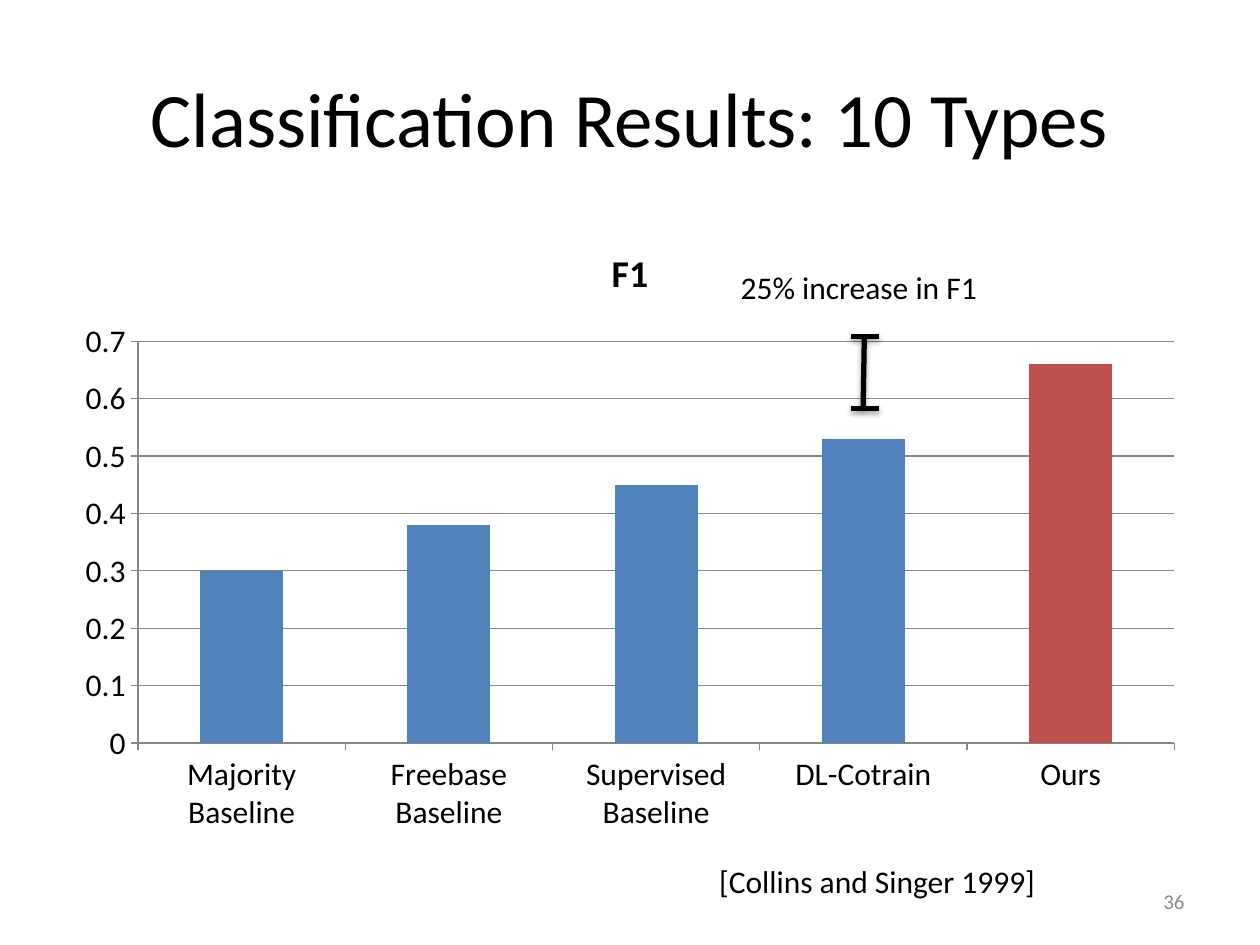
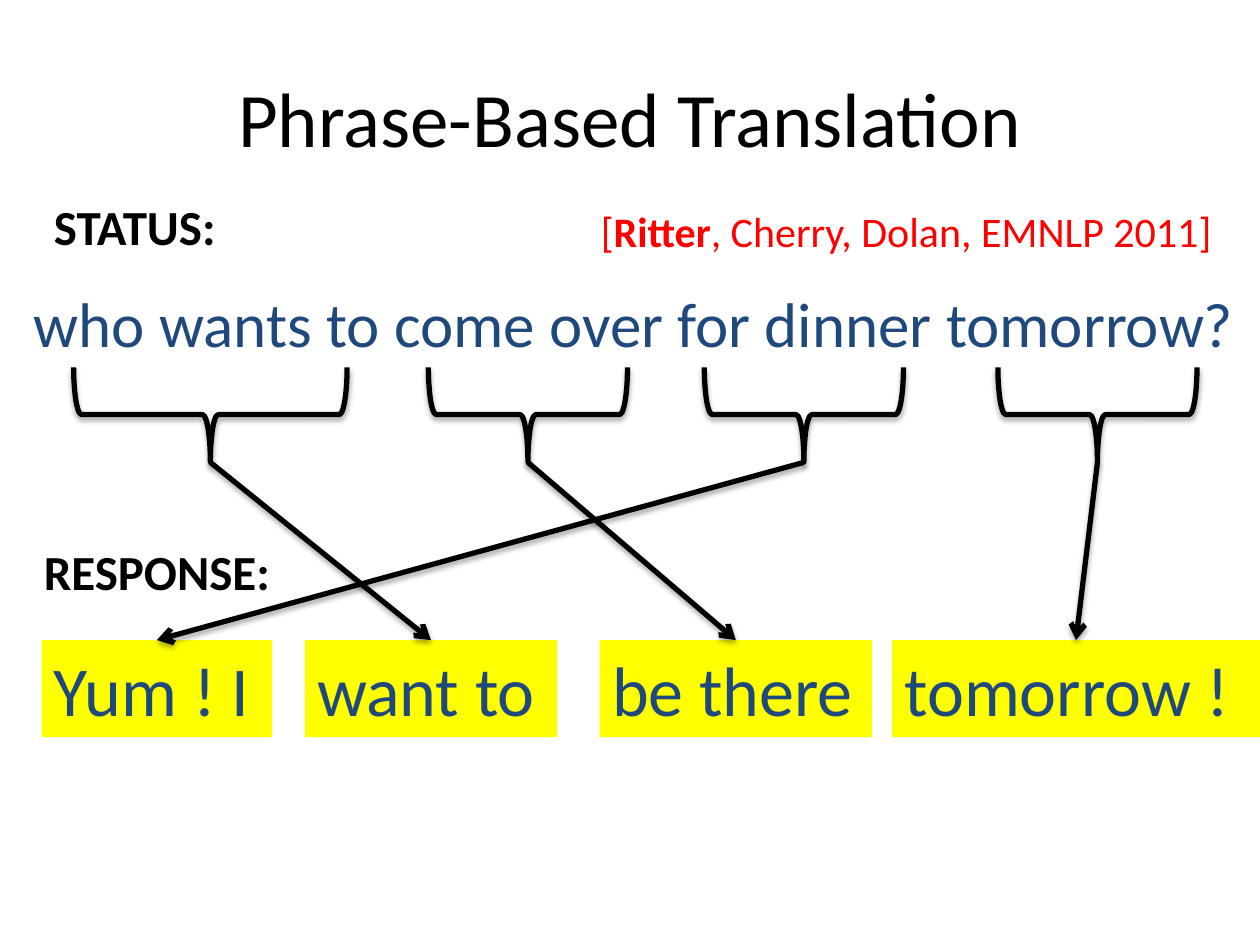
from dataclasses import dataclass

from lxml.etree import SubElement
from pptx import Presentation
from pptx.chart.data import CategoryChartData
from pptx.dml.color import RGBColor
from pptx.enum.chart import XL_CHART_TYPE, XL_TICK_MARK
from pptx.enum.shapes import MSO_CONNECTOR, MSO_SHAPE
from pptx.enum.text import MSO_ANCHOR, PP_ALIGN
from pptx.oxml.ns import qn
from pptx.util import Inches, Pt

FONT = "Calibri"
COLORS = {
    "text": "000000",
    "page": "8C8C8C",
    "phrase": "1F497D",
    "highlight": "FFFF00",
    "citation": "FF0000",
    "bar": "4F81BD",
    "ours": "C0504D",
    "axis": "868686",
}
F1_SCORES = {
    "Majority Baseline": 0.3,
    "Freebase Baseline": 0.38,
    "Supervised Baseline": 0.45,
    "DL-Cotrain": 0.53,
    "Ours": 0.66,
}
BRACE_CENTER_Y = 3.29
BRACE_DEPTH = 0.75
BRACE_TIP_Y = 3.67
RESPONSE_TOP = 5.08
RESPONSE_HEIGHT = 0.77


@dataclass(frozen=True)
class Label:
    text: str
    left: float
    top: float
    width: float
    height: float
    size: float = 18
    color: str = "text"
    bold: bool = False
    align: PP_ALIGN = PP_ALIGN.LEFT
    anchor: MSO_ANCHOR = MSO_ANCHOR.TOP
    wrap: bool = False
    fill: str | None = None


@dataclass(frozen=True)
class PhrasePair:
    response: str
    left: float
    width: float
    brace_center: float
    brace_span: float


PHRASE_PAIRS = [
    PhrasePair("Yum ! I", 0.33, 1.83, 6.38, 1.58),
    PhrasePair("want to", 2.42, 2, 1.67, 2.17),
    PhrasePair("be there", 4.76, 2.16, 4.19, 1.58),
    PhrasePair("tomorrow !", 7.08, 2.92, 8.71, 1.58),
]


def rgb(name: str) -> RGBColor:
    return RGBColor.from_string(COLORS[name])


def style_font(font, size: float, color: str = "text") -> None:
    font.name = FONT
    font.size = Pt(size)
    font.color.rgb = rgb(color)


def add_label(slide, label: Label):
    box = slide.shapes.add_textbox(
        Inches(label.left), Inches(label.top), Inches(label.width), Inches(label.height)
    )
    if label.fill:
        box.fill.solid()
        box.fill.fore_color.rgb = rgb(label.fill)
    frame = box.text_frame
    frame.word_wrap = label.wrap
    frame.vertical_anchor = label.anchor
    paragraph = frame.paragraphs[0]
    paragraph.alignment = label.align
    if label.text:
        paragraph.text = label.text
    style_font(paragraph.font, label.size, label.color)
    if label.bold:
        paragraph.font.bold = True
    return box


def add_titled_slide(deck, title: str):
    slide = deck.slides.add_slide(deck.slide_layouts[6])
    add_label(slide, Label(title, 0.5, 0.3, 9, 1.25, size=44, align=PP_ALIGN.CENTER,
                           anchor=MSO_ANCHOR.MIDDLE, wrap=True))
    return slide


def style_stroke(shape) -> None:
    shape.line.color.rgb = rgb("text")
    shape.line.width = Pt(3)
    properties = shape._element.spPr
    for effects in properties.findall(qn("a:effectLst")):
        properties.remove(effects)
    effects = SubElement(properties, qn("a:effectLst"))
    shadow = SubElement(effects, qn("a:outerShdw"), blurRad="40000", dist="23000",
                        dir="5400000", rotWithShape="0")
    shade = SubElement(shadow, qn("a:srgbClr"), val=COLORS["text"])
    SubElement(shade, qn("a:alpha"), val="35000")


def add_stroke(slide, x1: float, y1: float, x2: float, y2: float):
    stroke = slide.shapes.add_connector(
        MSO_CONNECTOR.STRAIGHT, Inches(x1), Inches(y1), Inches(x2), Inches(y2)
    )
    style_stroke(stroke)
    return stroke


def add_f1_chart(slide) -> None:
    scores = CategoryChartData()
    scores.categories = list(F1_SCORES)
    scores.add_series("F1", list(F1_SCORES.values()))
    chart = slide.shapes.add_chart(
        XL_CHART_TYPE.COLUMN_CLUSTERED,
        Inches(0.5), Inches(1.75), Inches(9), Inches(4.95), scores,
    ).chart
    style_font(chart.font, 18)
    chart.has_legend = False
    chart.has_title = True
    heading = chart.chart_title.text_frame
    heading.text = "F1"
    style_font(heading.paragraphs[0].font, 21.6)
    heading.paragraphs[0].font.bold = True
    chart.chart_title.include_in_layout = False

    plot = chart.plots[0]
    plot.gap_width = 150
    plot.vary_by_categories = False
    bars = plot.series[0]
    ours = bars.points[len(F1_SCORES) - 1]
    for part, color in ((bars, "bar"), (ours, "ours")):
        part.format.fill.solid()
        part.format.fill.fore_color.rgb = rgb(color)

    score_axis = chart.value_axis
    score_axis.minimum_scale = 0
    score_axis.maximum_scale = 0.7
    score_axis.major_unit = 0.1
    score_axis.has_major_gridlines = True
    for axis in (chart.category_axis, score_axis):
        axis.major_tick_mark = XL_TICK_MARK.OUTSIDE
    for rule in (chart.category_axis, score_axis, score_axis.major_gridlines):
        rule.format.line.color.rgb = rgb("axis")
        rule.format.line.width = Pt(0.75)


def build_results(deck) -> None:
    slide = add_titled_slide(deck, "Classification Results: 10 Types")
    add_f1_chart(slide)
    add_label(slide, Label("36", 7.17, 6.95, 2.33, 0.4, size=12, color="page",
                           align=PP_ALIGN.RIGHT, anchor=MSO_ANCHOR.MIDDLE, wrap=True))
    add_label(slide, Label("[Collins and Singer 1999]", 5.61, 6.79, 2.74, 0.4))
    add_label(slide, Label("25% increase in F1", 5.78, 2.08, 2.1, 0.4))
    gain_top, gain_bottom = 2.67, 3.24
    add_stroke(slide, 6.86, gain_top, 6.85, gain_bottom)
    for cap_y in (gain_top, gain_bottom):
        add_stroke(slide, 6.75, cap_y, 6.98, cap_y)


def add_phrase_pair(slide, pair: PhrasePair) -> None:
    response = add_label(slide, Label(
        pair.response, pair.left, RESPONSE_TOP, pair.width, RESPONSE_HEIGHT,
        size=40, color="phrase", wrap=True, fill="highlight",
    ))
    brace = slide.shapes.add_shape(
        MSO_SHAPE.LEFT_BRACE,
        Inches(pair.brace_center - BRACE_DEPTH / 2),
        Inches(BRACE_CENTER_Y - pair.brace_span / 2),
        Inches(BRACE_DEPTH), Inches(pair.brace_span),
    )
    brace.rotation = 270
    brace.fill.background()
    style_stroke(brace)
    arrow = add_stroke(slide, pair.brace_center, BRACE_TIP_Y,
                       pair.left + pair.width / 2, RESPONSE_TOP)
    arrow.end_connect(response, 0)
    SubElement(arrow.line._get_or_add_ln(), qn("a:tailEnd"), type="arrow")


def build_translation(deck) -> None:
    slide = add_titled_slide(deck, "Phrase-Based Translation")
    add_label(slide, Label("who wants to come over for dinner tomorrow?",
                           0.17, 2.21, 9.75, 0.71, size=36, color="phrase", wrap=True))
    for pair in PHRASE_PAIRS:
        add_phrase_pair(slide, pair)
    add_label(slide, Label("STATUS:", 0.33, 1.51, 1.5, 0.57, size=28, bold=True))
    add_label(slide, Label("RESPONSE:", 0.25, 4.25, 2.01, 0.57, size=28, bold=True))
    citation = add_label(slide, Label("", 4.67, 1.58, 5.1, 0.5, size=24, color="citation"))
    for words in ("[", "Ritter", ", Cherry, Dolan, EMNLP 2011]"):
        run = citation.text_frame.paragraphs[0].add_run()
        run.text = words
        run.font.bold = words == "Ritter"


def main() -> None:
    deck = Presentation()
    deck.slide_width = Inches(10)
    deck.slide_height = Inches(7.5)
    build_results(deck)
    build_translation(deck)
    deck.save("out.pptx")


if __name__ == "__main__":
    main()
